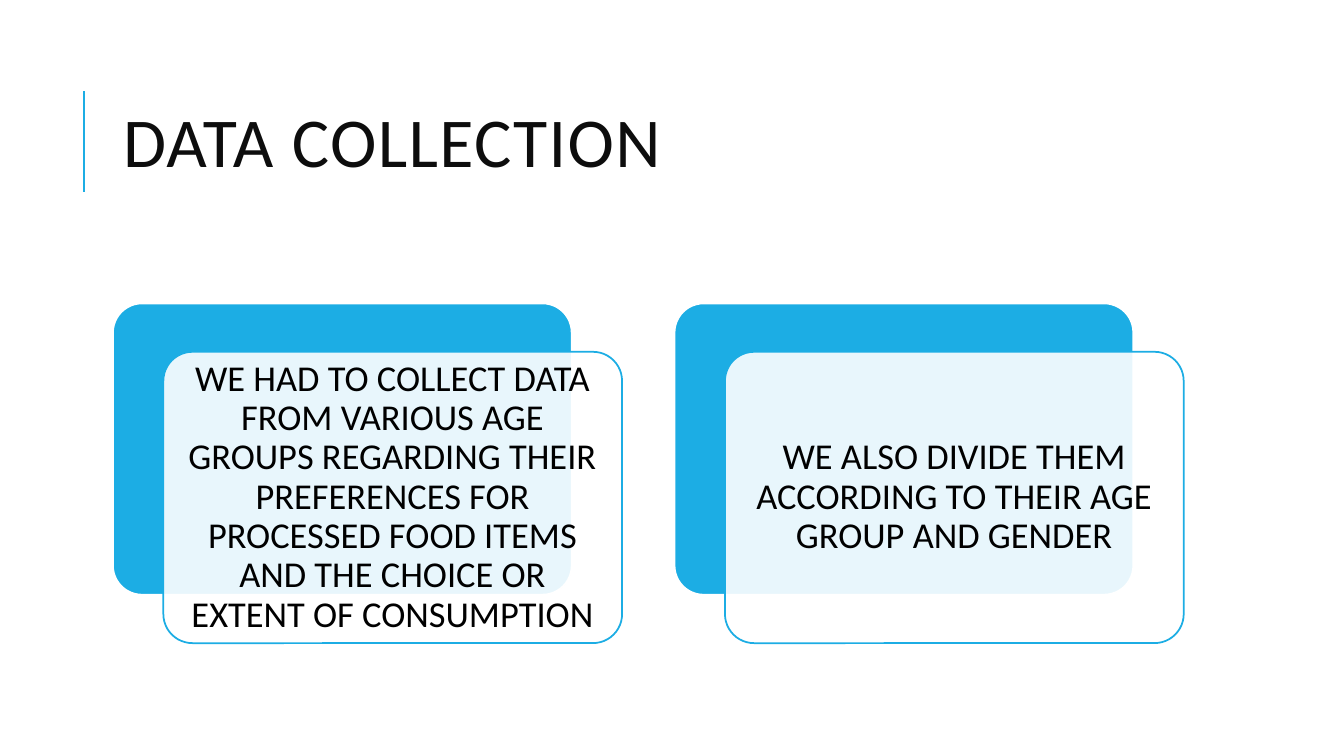
from pptx import Presentation
from pptx.dml.color import RGBColor
from pptx.enum.shapes import MSO_CONNECTOR as LINE, MSO_SHAPE as SHAPE
from pptx.enum.text import MSO_ANCHOR as ANCHOR, MSO_AUTO_SIZE as AUTO, PP_ALIGN as ALIGN
from pptx.oxml.ns import qn
from pptx.util import Inches, Pt
from lxml.etree import SubElement

# Content
TITLE = "DATA COLLECTION"
CARDS = [
    "WE HAD TO COLLECT DATA FROM VARIOUS AGE GROUPS REGARDING THEIR "
    "PREFERENCES FOR PROCESSED FOOD ITEMS AND THE CHOICE OR EXTENT OF CONSUMPTION",
    "WE ALSO DIVIDE THEM ACCORDING TO THEIR AGE GROUP AND GENDER",
]
FONT, BLUE, WHITE, BLACK, INK = "Calibri", "1CADE4", "FFFFFF", "000000", "0D0D0D"

# Card grid, in inches
LEFT, TOP, WIDTH, HEIGHT = 1.12, 3.01, 4.55, 2.89
PITCH = 5.57
SHIFT_X, SHIFT_Y = 0.5, 0.48
INSET = 0.11


def color(code):
    return RGBColor.from_string(code)


def write(frame, text, size, ink, align, space):
    frame.text = text
    frame.word_wrap = True
    frame.auto_size = AUTO.NONE
    frame.vertical_anchor = ANCHOR.MIDDLE
    para = frame.paragraphs[0]
    para.alignment = align
    para.line_spacing = space
    run = para.runs[0]
    run.font.name = FONT
    run.font.size = Pt(size)
    run.font.color.rgb = color(ink)
    return run


def add_panel(slide, x, y, fill, edge):
    panel = slide.shapes.add_shape(
        SHAPE.ROUNDED_RECTANGLE, Inches(x), Inches(y), Inches(WIDTH), Inches(HEIGHT))
    panel.adjustments[0] = 0.1
    panel.shadow.inherit = False
    panel.fill.solid()
    panel.fill.fore_color.rgb = color(fill)
    panel.line.color.rgb = color(edge)
    panel.line.width = Pt(1.25)
    return panel


def add_card(slide, x, text):
    add_panel(slide, x, TOP, BLUE, WHITE)
    front = add_panel(slide, x + SHIFT_X, TOP + SHIFT_Y, WHITE, BLUE)
    # Let the back panel show through
    tint = front.fill._xPr.find(qn("a:solidFill"))[0]
    SubElement(tint, qn("a:alpha"), val="90000")
    frame = front.text_frame
    frame.margin_left = frame.margin_right = Inches(INSET)
    frame.margin_top = frame.margin_bottom = Inches(INSET)
    write(frame, text, 26, BLACK, ALIGN.CENTER, 0.9)


def main():
    deck = Presentation()
    deck.slide_width, deck.slide_height = Inches(13.33), Inches(7.5)
    slide = deck.slides.add_slide(deck.slide_layouts[5])

    # Accent line beside the title
    bar = slide.shapes.add_connector(
        LINE.STRAIGHT, Inches(0.83), Inches(1.9), Inches(0.83), Inches(0.9))
    bar.line.color.rgb = color(BLUE)
    bar.line.width = Pt(1.5)
    SubElement(bar._element.spPr, qn("a:effectLst"))

    # Title
    title = slide.shapes.title
    title.left, title.top = Inches(1.12), Inches(0.64)
    title.width, title.height = Inches(10.63), Inches(1.64)
    run = write(title.text_frame, TITLE, 50, INK, ALIGN.LEFT, 0.8)
    run.font._element.set("spc", "100")

    # Cards
    for i, text in enumerate(CARDS):
        add_card(slide, LEFT + i * PITCH, text)

    deck.save("out.pptx")


if __name__ == "__main__":
    main()
